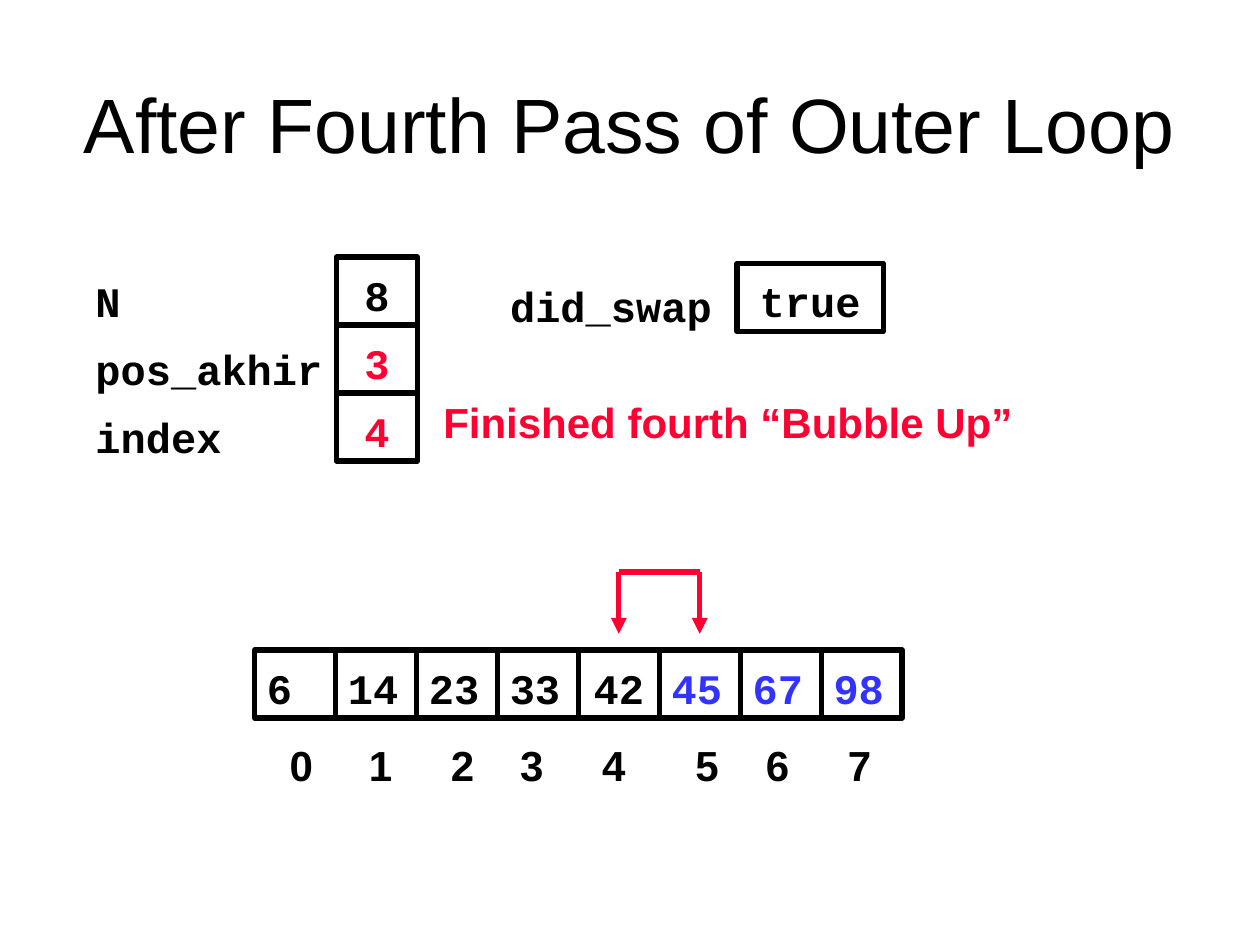
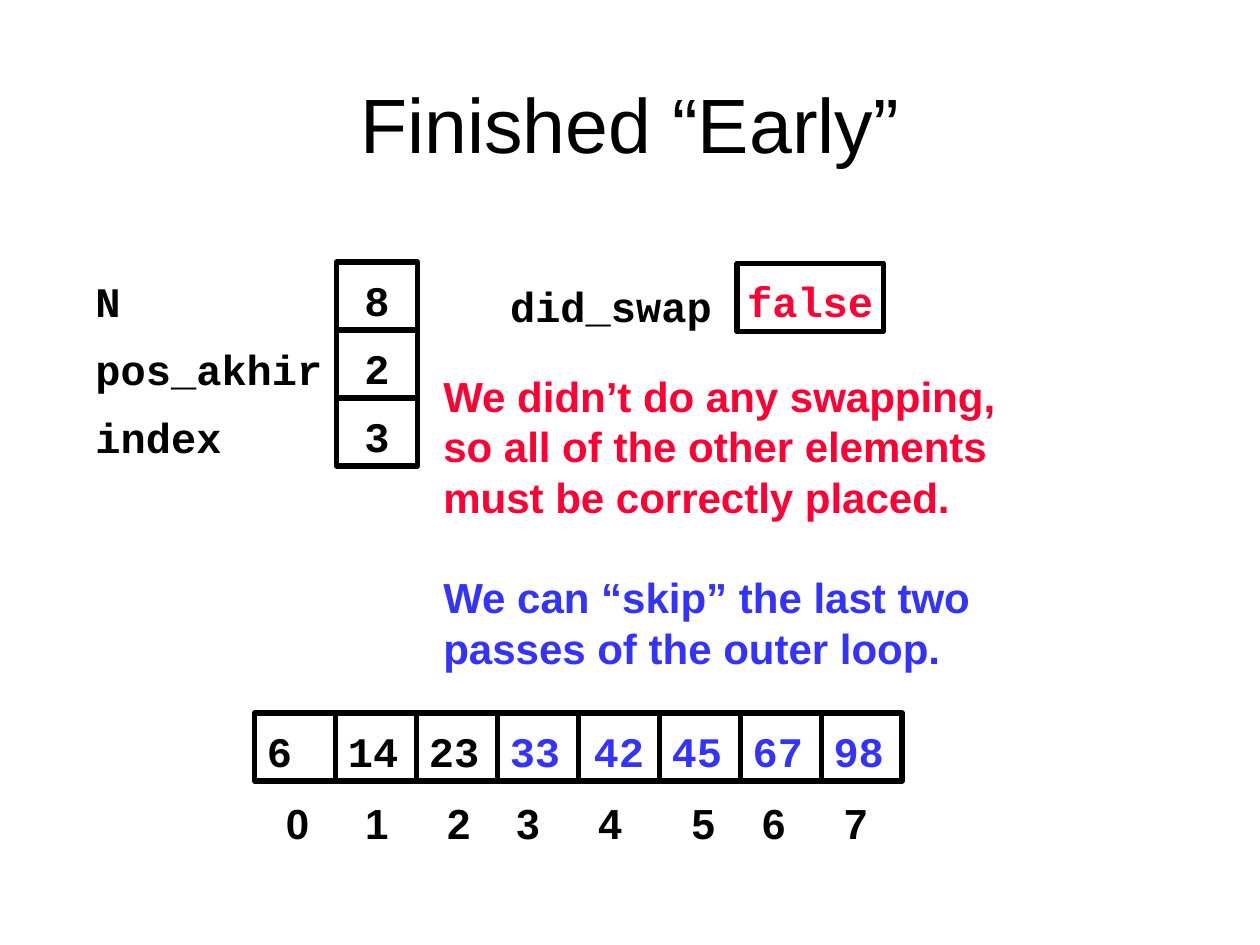
from pptx import Presentation
from pptx.dml.color import RGBColor
from pptx.enum.shapes import MSO_CONNECTOR, MSO_SHAPE
from pptx.enum.text import MSO_ANCHOR, MSO_AUTO_SIZE, PP_ALIGN
from pptx.oxml.ns import qn
from pptx.util import Inches, Pt
from lxml import etree

BLACK = RGBColor(0x00, 0x00, 0x00)
RED = RGBColor(0xFF, 0x00, 0x33)
BLUE = RGBColor(0x33, 0x33, 0xFF)
SANS, MONO = "Arial", "Courier New"
TOP_INSET = {SANS: 0.08, MONO: 0.1}

VALUES = [6, 14, 23, 33, 42, 45, 67, 98]
CENTERED_CELL = 4
CELL_W, CELL_H = 5.14 / len(VALUES), 0.54
ROW_LEFT = 2.02
INDEX_TABS = [0.63, 1.28, 1.83, 2.48, 3.22, 3.78, 4.43]
VARIABLES = ["N", "pos_akhir", "index"]


def style(p, font=MONO, color=BLACK, size=24, bold=True, align=PP_ALIGN.LEFT):
    p.alignment = align
    p.font.name, p.font.size, p.font.bold = font, Pt(size), bold
    p.font.color.rgb = color


def add_text(s, text, left, top, width, height=0.5, font=MONO, color=BLACK):
    sp = s.shapes.add_textbox(Inches(left), Inches(top), Inches(width), Inches(height))
    tf = sp.text_frame
    tf.word_wrap = False
    tf.auto_size = MSO_AUTO_SIZE.SHAPE_TO_FIT_TEXT
    tf.margin_top = Inches(TOP_INSET[font])
    p = tf.paragraphs[0]
    p.text = text
    style(p, font, color)
    return tf


def add_cell(s, text, left, top, width=CELL_W, color=BLACK, align=PP_ALIGN.CENTER):
    sp = s.shapes.add_shape(MSO_SHAPE.RECTANGLE, Inches(left), Inches(top),
                            Inches(width), Inches(CELL_H))
    sp.shadow.inherit = False
    sp.fill.background()
    sp.line.color.rgb, sp.line.width = BLACK, Pt(3)
    tf = sp.text_frame
    tf.word_wrap = False
    tf.vertical_anchor = MSO_ANCHOR.TOP
    tf.margin_top = Inches(TOP_INSET[MONO])
    p = tf.paragraphs[0]
    p.text = str(text)
    style(p, color=color, align=align)


def add_line(s, x1, y1, x2, y2, arrow=False):
    line = s.shapes.add_connector(MSO_CONNECTOR.STRAIGHT, Inches(x1), Inches(y1),
                                  Inches(x2), Inches(y2))
    line.line.color.rgb, line.line.width = RED, Pt(3)
    if arrow:
        etree.SubElement(line.line._get_or_add_ln(), qn("a:tailEnd"), type="triangle")
    etree.SubElement(line._element.spPr, qn("a:effectLst"))


def add_title(s, text):
    sp = s.shapes.add_textbox(Inches(0.5), Inches(0.35), Inches(9), Inches(1.25))
    tf = sp.text_frame
    tf.word_wrap = True
    tf.vertical_anchor = MSO_ANCHOR.MIDDLE
    p = tf.paragraphs[0]
    p.text = text
    style(p, SANS, size=44, bold=False, align=PP_ALIGN.CENTER)


def add_variables(s, values, top, color):
    """Names on the left, their values in a stack of cells."""
    for i, (name, value) in enumerate(zip(VARIABLES, values)):
        add_text(s, name, 0.66, 2.09 + i * CELL_H, 2 if name == "pos_akhir" else 1.2)
        add_cell(s, value, 2.67, top + i * CELL_H, color=color if i else BLACK)


def add_swap_flag(s, value, color):
    add_text(s, "did_swap", 3.95, 2.13, 2.6)
    add_cell(s, value, 5.85, 2.09, 1.16, color)


def add_array(s, top, sorted_from, index_left, index_top):
    """Row of array cells, the sorted end in blue, above their indexes."""
    for i, value in enumerate(VALUES):
        add_cell(s, value, ROW_LEFT + i * CELL_W, top,
                 color=BLUE if i >= sorted_from else BLACK,
                 align=PP_ALIGN.CENTER if i == CENTERED_CELL else PP_ALIGN.LEFT)
    indexes = "\t".join(str(i) for i in range(len(VALUES)))
    tf = add_text(s, indexes, index_left, index_top, 4.88, font=SANS)
    tf.word_wrap = True
    tabs = etree.Element(qn("a:tabLst"))
    for pos in INDEX_TABS:
        etree.SubElement(tabs, qn("a:tab"), pos=str(Inches(pos)), algn="l")
    tf.paragraphs[0]._p.get_or_add_pPr().insert(0, tabs)


def add_swap_arrows(s, first, row_top):
    """Bracket with arrows onto the cells first and first + 1."""
    left = ROW_LEFT + (first + 0.5) * CELL_W
    right = left + CELL_W
    top, bottom = row_top - 0.62, row_top - 0.13
    for x in (left, right):
        add_line(s, x, top, x, bottom, arrow=True)
    add_line(s, left, top, right, top)


def fourth_pass_slide(s):
    row_top = 5.16
    add_title(s, "After Fourth Pass of Outer Loop")
    add_variables(s, [8, 3, 4], 2.04, RED)
    add_swap_flag(s, "true", BLACK)
    add_text(s, "Finished fourth “Bubble Up”", 3.42, 3.07, 4.72, font=SANS, color=RED)
    add_array(s, row_top, 5, 2.2, row_top + 0.63)
    add_swap_arrows(s, 4, row_top)


def finished_early_slide(s):
    row_top = 5.66
    add_title(s, "Finished “Early”")
    add_variables(s, [8, 2, 3], 2.08, BLACK)
    add_swap_flag(s, "false", RED)
    # Explanation
    tf = add_text(s, "We didn’t do any swapping,\vso all of the other elements\v"
                  "must be correctly placed.", 3.42, 2.86, 4.59, 2.5, SANS, RED)
    p = tf.add_paragraph()
    p.text = "We can “skip” the last two\vpasses of the outer loop."
    style(p, SANS, BLUE)
    p.space_before = Pt(28.8)
    for p in tf.paragraphs:
        p.line_spacing = Pt(28.8)
    add_array(s, row_top, 3, 2.17, row_top + 0.59)


def main():
    prs = Presentation()
    prs.slide_width, prs.slide_height = Inches(10), Inches(7.5)
    for build in (fourth_pass_slide, finished_early_slide):
        build(prs.slides.add_slide(prs.slide_layouts[6]))
    prs.save("out.pptx")


if __name__ == "__main__":
    main()
